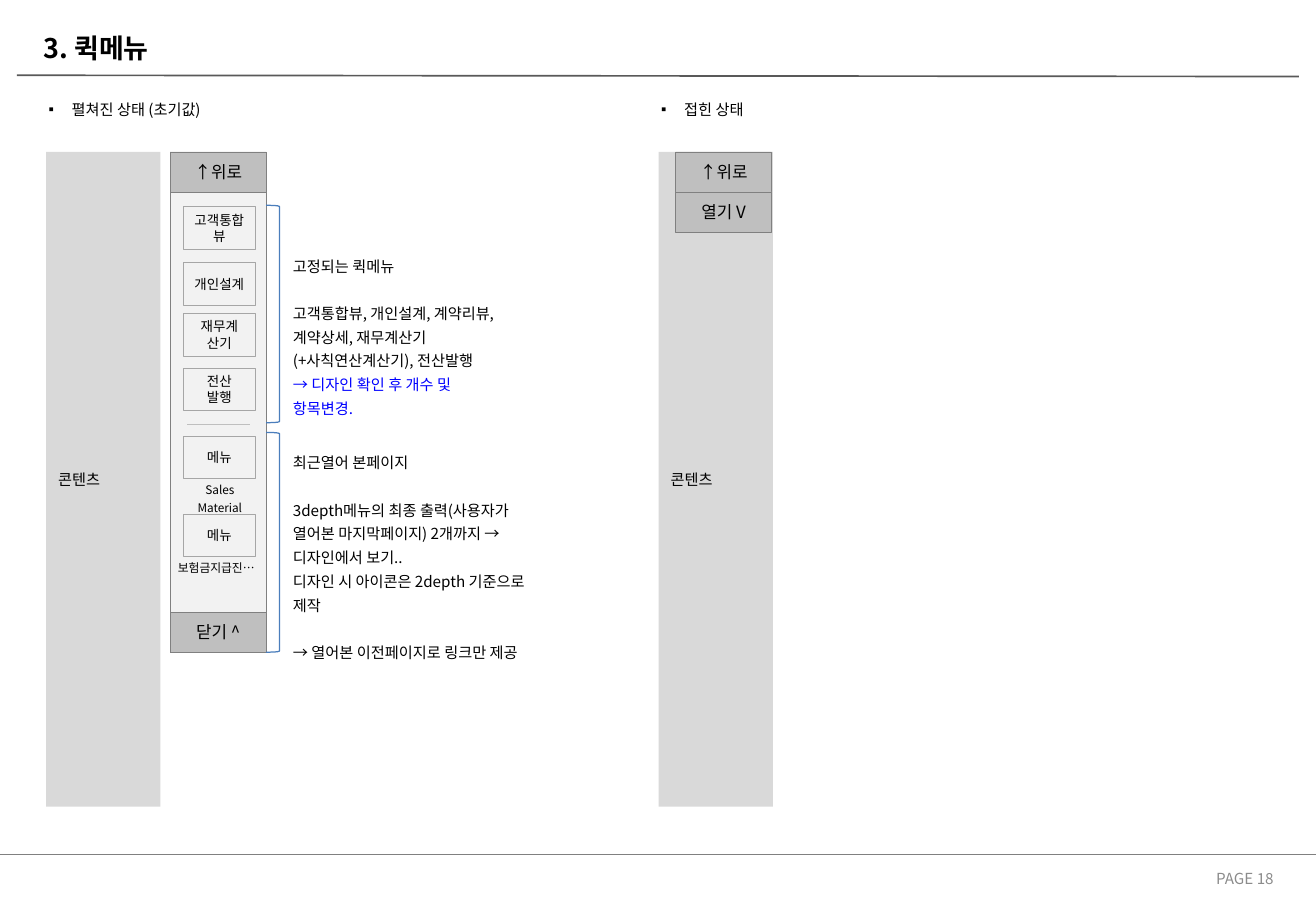
from dataclasses import dataclass
from typing import Optional

from lxml import etree
from pptx import Presentation
from pptx.dml.color import RGBColor
from pptx.enum.shapes import MSO_CONNECTOR, MSO_SHAPE
from pptx.enum.text import MSO_ANCHOR, MSO_AUTO_SIZE, PP_ALIGN
from pptx.oxml.ns import qn
from pptx.util import Inches, Pt

RECTANGLE = MSO_SHAPE.RECTANGLE
BRACKET = MSO_SHAPE.RIGHT_BRACKET
STRAIGHT = MSO_CONNECTOR.STRAIGHT
LEFT, CENTER, RIGHT = PP_ALIGN.LEFT, PP_ALIGN.CENTER, PP_ALIGN.RIGHT
TOP, MIDDLE = MSO_ANCHOR.TOP, MSO_ANCHOR.MIDDLE
FIXED, GROW = MSO_AUTO_SIZE.NONE, MSO_AUTO_SIZE.SHAPE_TO_FIT_TEXT
TWO_CONTENT_LAYOUT = 3


@dataclass(frozen=True)
class Theme:
    font: str = "Noto Sans CJK KR"
    text: str = "000000"
    note: str = "0000FF"
    page: str = "8C8C8C"
    content: str = "D9D9D9"
    panel: str = "F2F2F2"
    bar: str = "BFBFBF"
    border: str = "808080"
    button_border: str = "A6A6A6"
    header_rule: str = "595959"
    bracket: str = "4B7EBC"
    title_size: float = 16
    bar_size: float = 10
    body_size: float = 9
    button_size: float = 8
    caption_size: float = 7
    hairline: float = 0.25
    line_spacing: float = 1.3
    paragraph_gap: float = 14


THEME = Theme()


@dataclass(frozen=True)
class Area:
    left: float
    top: float
    width: float
    height: float


@dataclass(frozen=True)
class Box:
    area: Area
    fill: Optional[str]
    border: Optional[str] = None
    text: str = ""
    size: float = THEME.body_size
    align: PP_ALIGN = CENTER
    inset: float = 0.1
    line_width: float = THEME.hairline
    preset: MSO_SHAPE = RECTANGLE


@dataclass(frozen=True)
class Rule:
    start: tuple[float, float]
    end: tuple[float, float]
    color: str
    width: float = THEME.hairline


@dataclass(frozen=True)
class Line:
    text: str
    color: str = THEME.text
    gap: bool = False


@dataclass(frozen=True)
class TextBlock:
    area: Area
    lines: tuple[Line, ...]
    size: float = THEME.body_size
    align: PP_ALIGN = LEFT
    inset: float = 0.04


def content_column(left: float) -> Box:
    return Box(Area(left, 1.25, 0.94, 5.39), THEME.content, text="콘텐츠", align=LEFT)


def panel(left: float, height: float) -> Box:
    return Box(Area(left, 1.25, 0.79, height), THEME.panel, THEME.border)


def bar(left: float, top: float, text: str) -> Box:
    return Box(Area(left, top, 0.79, 0.33), THEME.bar, THEME.border, text, THEME.bar_size)


def button(top: float, text: str, inset: float = 0.1) -> Box:
    return Box(Area(1.51, top, 0.59, 0.35), THEME.panel, THEME.button_border, text,
               THEME.button_size, inset=inset)


def bracket(top: float, height: float) -> Box:
    return Box(Area(2.19, top, 0.11, height), None, THEME.bracket,
               line_width=0.75, preset=BRACKET)


def caption(area: Area, text: str) -> TextBlock:
    return TextBlock(area, (Line(text),), THEME.caption_size, CENTER, 0.02)


TITLE = Area(0.26, 0.23, 8.2, 0.32)
HEADINGS = (
    (Area(0.38, 0.76, 1.4, 0.24), "펼쳐진 상태 (초기값)"),
    (Area(5.42, 0.76, 0.78, 0.24), "접힌 상태"),
)
RULES = (
    Rule((-0.01, 7.03), (10.84, 7.03), THEME.border),
    Rule((0.14, 0.62), (10.69, 0.63), THEME.header_rule, 1),
    Rule((1.54, 3.49), (2.06, 3.49), THEME.bar),
)
BOXES = (
    content_column(0.38), content_column(5.42),
    panel(1.4, 4.12), panel(5.56, 0.65),
    bar(1.4, 1.25, "↑위로"), bar(1.4, 5.04, "닫기 ^"),
    bar(5.56, 1.25, "↑위로"), bar(5.56, 1.58, "열기 V"),
    button(1.7, "고객통합뷰", 0.04), button(2.16, "개인설계", 0.04),
    button(2.58, "재무계산기"), button(3.03, "전산\n발행"),
    button(3.59, "메뉴"), button(4.23, "메뉴"),
    bracket(1.69, 1.79), bracket(3.56, 1.81),
)
TEXT_BLOCKS = (
    TextBlock(Area(2.37, 2.03, 1.78, 1.46), (
        Line("고정되는 퀵메뉴"),
        Line("고객통합뷰, 개인설계, 계약리뷰, 계약상세, 재무계산기(+사칙연산계산기), 전산발행", gap=True),
        Line("→ 디자인 확인 후 개수 및 항목변경.", THEME.note),
    )),
    TextBlock(Area(2.37, 3.65, 2.15, 1.85), (
        Line("최근열어 본페이지"),
        Line("3depth메뉴의 최종 출력(사용자가 열어본 마지막페이지) 2개까지 → 디자인에서 보기..", gap=True),
        Line("디자인 시 아이콘은 2depth 기준으로 제작"),
        Line("→ 열어본 이전페이지로 링크만 제공", gap=True),
    )),
    caption(Area(1.48, 3.92, 0.66, 0.18), "Sales Material"),
    caption(Area(1.43, 4.56, 0.7, 0.18), "보험금지급진…"),
)


def place(shape, area: Area) -> None:
    shape.left, shape.top = Inches(area.left), Inches(area.top)
    shape.width, shape.height = Inches(area.width), Inches(area.height)


def set_frame(text_frame, inset: float, anchor, auto_size=FIXED, wrap: bool = True) -> None:
    text_frame.margin_left = text_frame.margin_right = Inches(inset)
    text_frame.margin_top = text_frame.margin_bottom = Inches(min(inset, 0.05))
    text_frame.vertical_anchor = anchor
    text_frame.auto_size = auto_size
    text_frame.word_wrap = wrap


def format_paragraph(paragraph, size: float, align, color: str = THEME.text,
                     bold: bool = False) -> None:
    paragraph.alignment = align
    for run in paragraph.runs:
        run.font.size = Pt(size)
        run.font.bold = bold
        run.font.color.rgb = RGBColor.from_string(color)
        run.font.name = THEME.font
        properties = run._r.get_or_add_rPr()
        etree.SubElement(properties, qn("a:ea")).set("typeface", THEME.font)


def add_title(slide) -> None:
    title = slide.shapes.title
    place(title, TITLE)
    title.text_frame.text = "3. 퀵메뉴"
    set_frame(title.text_frame, 0.1, MIDDLE)
    format_paragraph(title.text_frame.paragraphs[0], THEME.title_size, LEFT, bold=True)


def add_heading(placeholder, area: Area, text: str) -> None:
    place(placeholder, area)
    text_frame = placeholder.text_frame
    text_frame.text = text
    set_frame(text_frame, 0.02, TOP, GROW, wrap=False)
    paragraph = text_frame.paragraphs[0]
    properties = paragraph._p.get_or_add_pPr()
    properties.set("marL", str(Inches(0.19)))
    properties.set("indent", str(-Inches(0.19)))
    etree.SubElement(properties, qn("a:buChar")).set("char", "▪")
    paragraph.line_spacing = THEME.line_spacing
    paragraph.space_before = Pt(0)
    format_paragraph(paragraph, THEME.body_size, LEFT)


def add_rule(slide, rule: Rule) -> None:
    points = [Inches(value) for value in rule.start + rule.end]
    connector = slide.shapes.add_connector(STRAIGHT, *points)
    connector.line.color.rgb = RGBColor.from_string(rule.color)
    connector.line.width = Pt(rule.width)
    etree.SubElement(connector._element.spPr, qn("a:effectLst"))


def add_box(slide, box: Box) -> None:
    shape = slide.shapes.add_shape(box.preset, 0, 0, 0, 0)
    place(shape, box.area)
    shape.shadow.inherit = False
    if box.fill:
        shape.fill.solid()
        shape.fill.fore_color.rgb = RGBColor.from_string(box.fill)
    else:
        shape.fill.background()
    if box.border:
        shape.line.color.rgb = RGBColor.from_string(box.border)
        shape.line.width = Pt(box.line_width)
    else:
        shape.line.fill.background()
    if box.text:
        shape.text_frame.text = box.text
        set_frame(shape.text_frame, box.inset, MIDDLE)
        for paragraph in shape.text_frame.paragraphs:
            format_paragraph(paragraph, box.size, box.align)


def add_text_block(slide, block: TextBlock) -> None:
    shape = slide.shapes.add_textbox(0, 0, 0, 0)
    place(shape, block.area)
    text_frame = shape.text_frame
    text_frame.text = "\n".join(line.text for line in block.lines)
    set_frame(text_frame, block.inset, TOP, GROW)
    for paragraph, line in zip(text_frame.paragraphs, block.lines):
        paragraph.line_spacing = THEME.line_spacing
        if line.gap:
            paragraph.space_before = Pt(THEME.paragraph_gap)
        format_paragraph(paragraph, block.size, block.align, line.color)


def add_page_number(slide) -> None:
    shape = slide.shapes.add_textbox(0, 0, 0, 0)
    place(shape, Area(8.05, 7.11, 2.53, 0.24))
    shape.text_frame.text = "PAGE 18"
    set_frame(shape.text_frame, 0.1, MIDDLE)
    format_paragraph(shape.text_frame.paragraphs[0], THEME.body_size, RIGHT, THEME.page)


def main() -> None:
    presentation = Presentation()
    presentation.slide_width, presentation.slide_height = Inches(10.83), Inches(7.5)
    slide = presentation.slides.add_slide(presentation.slide_layouts[TWO_CONTENT_LAYOUT])
    add_title(slide)
    for index, (area, text) in enumerate(HEADINGS, start=1):
        add_heading(slide.placeholders[index], area, text)
    for box in BOXES:
        add_box(slide, box)
    for rule in RULES:
        add_rule(slide, rule)
    for block in TEXT_BLOCKS:
        add_text_block(slide, block)
    add_page_number(slide)
    presentation.save("out.pptx")


if __name__ == "__main__":
    main()
